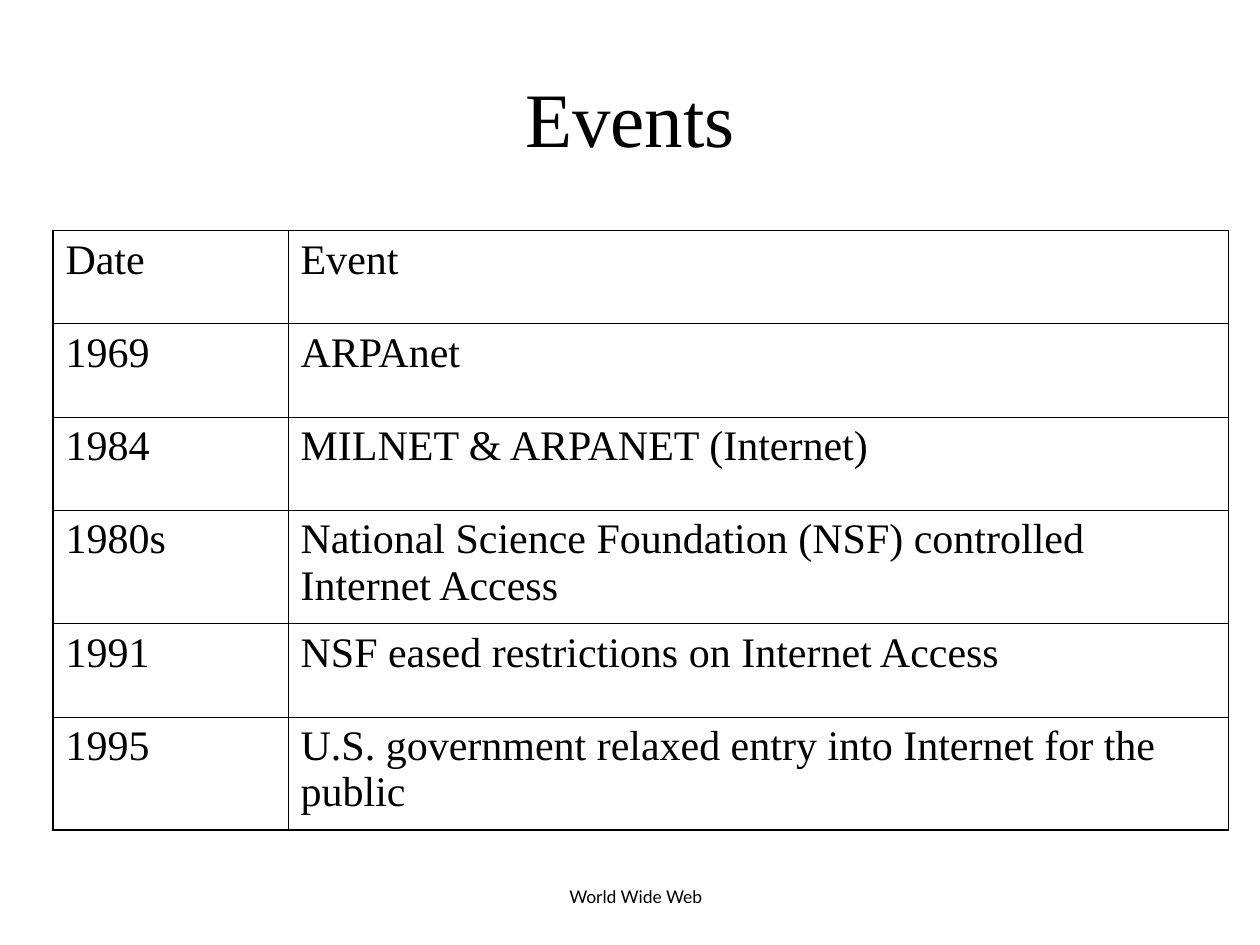
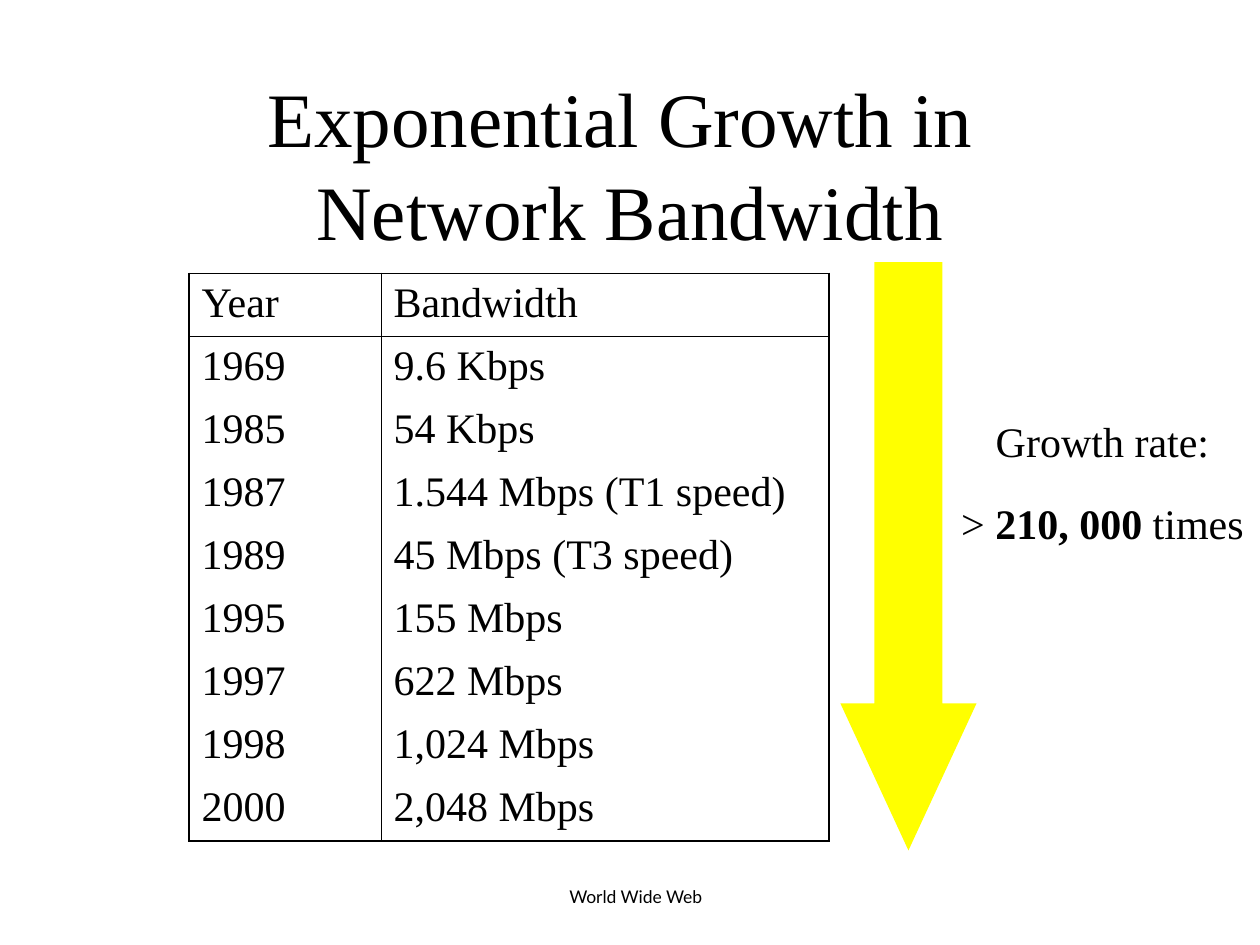
from lxml import etree
from pptx import Presentation
from pptx.dml.color import RGBColor
from pptx.enum.shapes import MSO_SHAPE
from pptx.enum.text import MSO_ANCHOR, PP_ALIGN
from pptx.oxml.ns import qn
from pptx.util import Inches, Pt

BLACK = RGBColor(0, 0, 0)
YELLOW = RGBColor(255, 255, 0)
SERIF, SANS = "Times New Roman", "Lato"
CENTER = PP_ALIGN.CENTER
TOP, MIDDLE, BOTTOM = MSO_ANCHOR.TOP, MSO_ANCHOR.MIDDLE, MSO_ANCHOR.BOTTOM
ARROW = MSO_SHAPE.DOWN_ARROW
THICK, THIN = Pt(1.08), Pt(0.45)

deck = Presentation()
deck.slide_width, deck.slide_height = Inches(10), Inches(7.5)
blank = deck.slide_layouts[6]


def add_text(slide, text, box, size, font=SERIF, anchor=TOP):
    frame = slide.shapes.add_textbox(*map(Inches, box)).text_frame
    frame.word_wrap = True
    frame.vertical_anchor = anchor
    frame.text = text
    for para in frame.paragraphs:
        para.alignment = CENTER
        para.font.size, para.font.name = Pt(size), font
        para.font.color.rgb = BLACK
    return frame


def add_grid(slide, rows, box, shares, heights, ruled):
    """Add a framed table; ruled draws a line under every row, not just the head."""
    table = slide.shapes.add_table(len(rows), len(shares), *map(Inches, box)).table
    table.first_row = table.horz_banding = False
    for col, share in zip(table.columns, shares):
        col.width = Inches(box[2] * share)
    last, end = len(rows) - 1, len(shares) - 1
    for r, row in enumerate(rows):
        table.rows[r].height = Inches(heights[r])
        above = THICK if r == 0 else THIN if ruled or r == 1 else 0
        below = THICK if r == last else THIN if ruled or r == 0 else 0
        for c, text in enumerate(row):
            cell = table.cell(r, c)
            cell.text_frame.text = text
            para = cell.text_frame.paragraphs[0]
            para.space_before = Pt(6)
            font = para.runs[0].font
            font.size, font.name, font.color.rgb = Pt(24), SERIF, BLACK
            sides = {"lnL": THIN if c else THICK, "lnR": THICK if c == end else THIN,
                     "lnT": above, "lnB": below}
            props = cell._tc.get_or_add_tcPr()
            for side, width in sides.items():
                line = etree.SubElement(props, qn("a:" + side), w=str(int(width)))
                if width:
                    fill = etree.SubElement(line, qn("a:solidFill"))
                    etree.SubElement(fill, qn("a:srgbClr"), val=str(BLACK))
                else:
                    etree.SubElement(line, qn("a:noFill"))
            cell.fill.background()


# Events
events = deck.slides.add_slide(blank)
add_text(events, "Events", (0.5, 0.3, 9, 1.25), 44, anchor=MIDDLE)
dates = [
    ("Date", "Event"),
    ("1969", "ARPAnet"),
    ("1984", "MILNET & ARPANET (Internet)"),
    ("1980s", "National Science Foundation (NSF) controlled Internet Access"),
    ("1991", "NSF eased restrictions on Internet Access"),
    ("1995", "U.S. government relaxed entry into Internet for the public"),
]
ONE, TWO = 0.74, 0.9
add_grid(events, dates, (0.42, 1.83, 9.33, 4.76), (0.2, 0.8),
         (ONE, ONE, ONE, TWO, ONE, TWO), True)

# Bandwidth
growth = deck.slides.add_slide(blank)
add_text(growth, "Exponential Growth in \vNetwork Bandwidth",
         (0, 0.67, 10, 1.25), 44, anchor=MIDDLE)
speeds = [
    ("Year", "Bandwidth"),
    ("1969", "9.6 Kbps"),
    ("1985", "54 Kbps"),
    ("1987", "1.544 Mbps (T1 speed)"),
    ("1989", "45 Mbps (T3 speed)"),
    ("1995", "155 Mbps"),
    ("1997", "622 Mbps"),
    ("1998", "1,024 Mbps"),
    ("2000", "2,048 Mbps"),
]
add_grid(growth, speeds, (1.5, 2.17, 5.08, 4.5), (0.3, 0.7),
         [0.5] * len(speeds), False)

arrow = growth.shapes.add_shape(ARROW, *map(Inches, (6.67, 2.08, 1.08, 4.67)))
arrow.adjustments[0], arrow.adjustments[1] = 0.5, 1.08
arrow.shadow.inherit = False
arrow.fill.solid()
arrow.fill.fore_color.rgb = YELLOW
arrow.line.fill.background()

rate = add_text(growth, "Growth rate:\n> ", (7.5, 3.42, 2.5, 0.98), 24)
for para, gap in zip(rate.paragraphs, (15, 25)):
    para.line_spacing, para.space_before = 0.5, Pt(gap)
for text, bold, size in (("210, 000", True, 24), (" times", False, 24), (" ", False, 40)):
    run = rate.paragraphs[1].add_run()
    run.text = text
    run.font.bold, run.font.size = bold, Pt(size)

for slide in deck.slides:
    add_text(slide, "World Wide Web", (0.67, 6.92, 8.75, 0.33), 10, SANS, BOTTOM)

deck.save("out.pptx")
